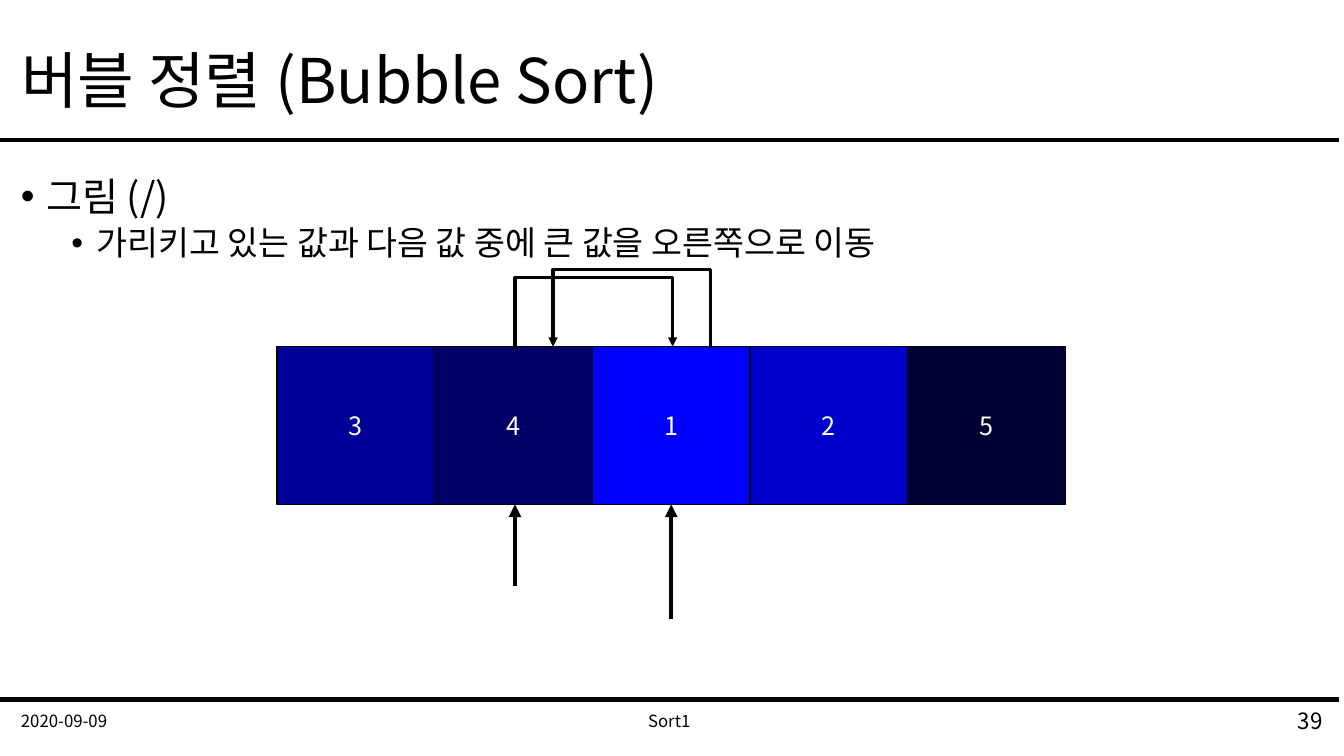
from pptx import Presentation
from pptx.dml.color import RGBColor
from pptx.enum.shapes import MSO_CONNECTOR as LINK, MSO_SHAPE as SHAPE
from pptx.enum.text import MSO_ANCHOR as ANCHOR, MSO_AUTO_SIZE as FIT, PP_ALIGN as ALIGN
from pptx.oxml.ns import qn
from pptx.util import Pt
from lxml.etree import SubElement

FONT = "Noto Sans CJK KR"
BLACK, WHITE = "000000", "FFFFFF"
CELL = 112.6
ROW_LEFT, ROW_TOP = 198, 247.7
VALUES = [3, 4, 1, 2, 5]


def color(hex_code):
    return RGBColor.from_string(hex_code)


def add_span(para, text, size, ink=BLACK):
    span = para.add_run()
    span.text = text
    font = span.font
    font.name, font.size, font.bold = FONT, Pt(size), False
    font.color.rgb = color(ink)
    SubElement(font._element, qn("a:ea"), typeface=FONT)


def prepare_frame(box, anchor):
    frame = box.text_frame
    frame.word_wrap = True
    frame.auto_size = FIT.NONE
    frame.vertical_anchor = anchor
    return frame


def add_title(page, text):
    title = page.shapes.title
    title.left, title.top, title.width, title.height = Pt(7.9), Pt(10.8), Pt(944), Pt(97.2)
    para = prepare_frame(title, ANCHOR.MIDDLE).paragraphs[0]
    para.alignment, para.line_spacing = ALIGN.LEFT, 0.9
    add_span(para, text, 44)


def add_label(page, left, width, text, size, align):
    box = page.shapes.add_textbox(Pt(left), Pt(500.4), Pt(width), Pt(28.8))
    para = prepare_frame(box, ANCHOR.MIDDLE).paragraphs[0]
    para.alignment = align
    add_span(para, text, size)


def add_bullets(page, items):
    box = page.shapes.add_textbox(Pt(7.9), Pt(123.1), Pt(944), Pt(362))
    frame = prepare_frame(box, ANCHOR.TOP)
    for index, (level, text, size, before) in enumerate(items):
        para = frame.add_paragraph() if index else frame.paragraphs[0]
        para.level, para.line_spacing, para.space_before = level, 0.9, Pt(before)
        props = para._p.get_or_add_pPr()
        props.set("marL", str(Pt(18 + 36 * level)))
        props.set("indent", str(-Pt(18)))
        SubElement(props, qn("a:buFont"), typeface="Arial")
        SubElement(props, qn("a:buChar"), char="•")
        add_span(para, text, size)


def add_cell(page, index, value):
    cell = page.shapes.add_shape(SHAPE.RECTANGLE, Pt(ROW_LEFT + index * CELL), Pt(ROW_TOP),
                                 Pt(CELL), Pt(CELL))
    cell.shadow.inherit = False
    cell.fill.solid()
    # The larger the value, the darker the blue
    cell.fill.fore_color.rgb = color(f"0000{255 - 51 * (value - 1):02X}")
    cell.line.color.rgb = color(BLACK)
    cell.line.width = Pt(1)
    para = prepare_frame(cell, ANCHOR.MIDDLE).paragraphs[0]
    para.alignment = ALIGN.CENTER
    add_span(para, str(value), 18, WHITE)


def add_line(page, start, end, width=3, arrow=False, kind=LINK.STRAIGHT):
    line = page.shapes.add_connector(kind, *(Pt(n) for n in start + end))
    line.line.color.rgb = color(BLACK)
    line.line.width = Pt(width)
    if arrow:
        SubElement(line.line._get_or_add_ln(), qn("a:tailEnd"), type="triangle")
    SubElement(line._element.spPr, qn("a:effectLst"))
    return line


def add_swap_arrow(page, start_x, end_x, rise):
    """Elbow that leaves one cell, rises and comes down on another.

    A three-part elbow runs sideways, so a one-point-wide one is turned upright.
    """
    middle, half = (start_x + end_x) / 2, abs(end_x - start_x) / 2
    side = 0.5 if end_x > start_x else -0.5
    center = ROW_TOP + 0.5
    link = add_line(page, (middle + side, center + half), (middle - side, center - half),
                    2.25, True, LINK.ELBOW)
    link.rotation = 90 if side > 0 else 270
    if not hasattr(type(link), "rotation"):
        link._element.spPr.find(qn("a:xfrm")).set("rot", str(int(link.rotation * 60000)))
    guides = link._element.spPr.find(qn("a:prstGeom")).get_or_add_avLst()
    SubElement(guides, qn("a:gd"), name="adj1", fmla=f"val {round(rise * 100000)}")


def main():
    deck = Presentation()
    deck.slide_width, deck.slide_height = Pt(960), Pt(540)
    page = deck.slides.add_slide(deck.slide_layouts[5])

    # Rules, title and footer
    for y in (100.1, 499.7):
        add_line(page, (0, y), (956.2, y))
    add_title(page, "버블 정렬 (Bubble Sort)")
    add_label(page, 7.9, 216, "2020-09-09", 12, ALIGN.LEFT)
    add_label(page, 316.1, 324, "Sort1", 12, ALIGN.CENTER)
    add_label(page, 735.8, 216, "39", 16, ALIGN.RIGHT)

    # Explanation
    add_bullets(page, [
        (0, "그림 (/)", 28, 10),
        (1, "가리키고 있는 값과 다음 값 중에 큰 값을 오른쪽으로 이동", 24, 5),
    ])

    # Array being sorted
    for index, value in enumerate(VALUES):
        add_cell(page, index, value)

    # Pointers to the compared cells
    for x, foot in ((367.9, 418.3), (479.5, 442.1)):
        add_line(page, (x, foot), (x, ROW_TOP + CELL), arrow=True)

    # Exchange of the two values
    add_swap_arrow(page, 367.9, 367.9 + CELL, 50.67)
    add_swap_arrow(page, 507.6, 507.6 - CELL, 56.67)

    deck.save("out.pptx")


main()
